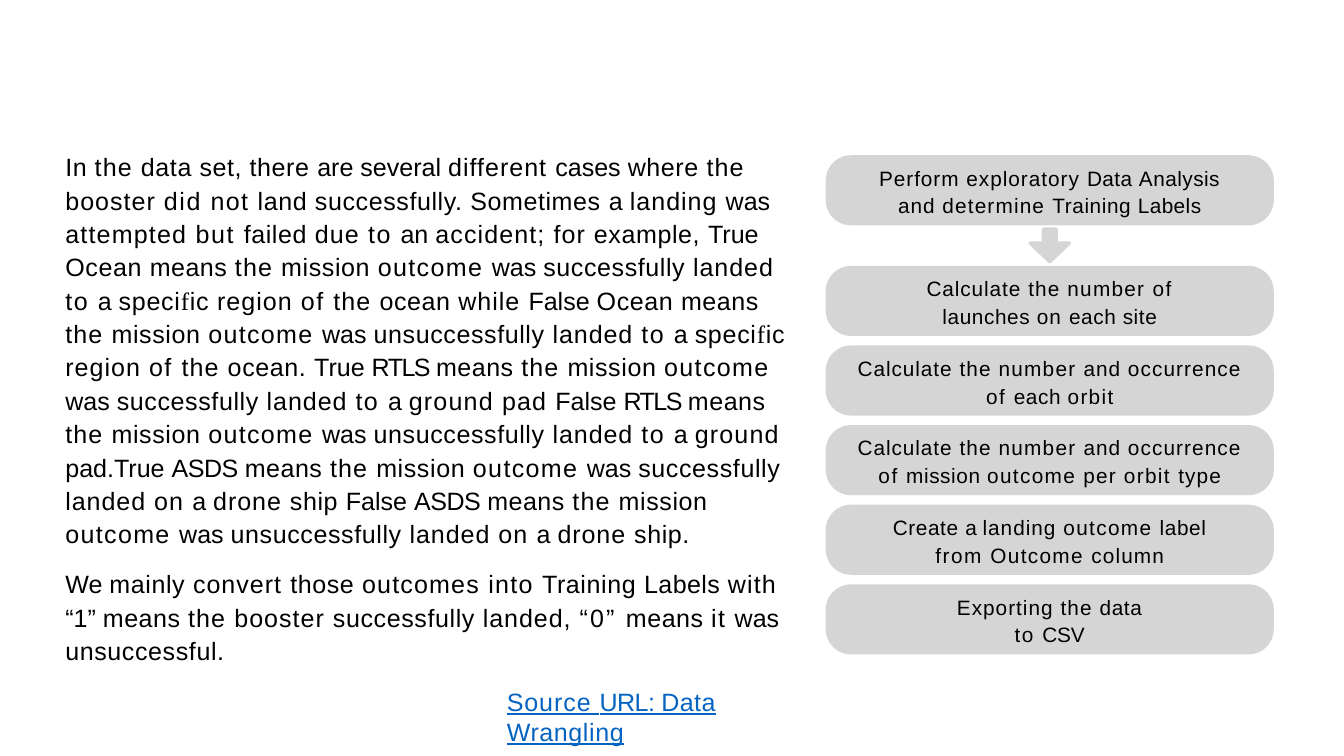
from dataclasses import dataclass
from itertools import groupby

from pptx import Presentation
from pptx.dml.color import RGBColor
from pptx.enum.shapes import MSO_SHAPE
from pptx.enum.text import MSO_ANCHOR, PP_ALIGN
from pptx.shapes.autoshape import Shape
from pptx.text.text import TextFrame
from pptx.util import Pt

GREY = "D5D5D5"
BLACK = "000000"
BLUE = "0563C1"

# Letter spacing in points, by word
TRACK = {
    -1.8: "RTLS",
    -0.7: "URL",
    -0.6: "ASDS",
    -0.2: "CSV",
    0: "are several cases a an was True False pad.True We “1”",
    0.5: "Data Labels",
    0.6: "In set means Analysis",
    0.85: "specific",
    1.1: "landed drone Calculate Perform and Source",
    1.2: "different booster landing for region while convert exploratory Exporting",
    1.3: "the due accident pad on occurrence",
    1.4: "attempted ground outcomes with determine column per type",
    1.5: "number into",
    1.6: "not outcome Outcome it orbit",
    1.8: "did to of from",
    1.9: "but",
    2.6: "“0”",
}
GAPS = {word: gap for gap, words in TRACK.items() for word in words.split()}

CASES = (
    "In the data set, there are several different cases where the booster did not land "
    "successfully. Sometimes a landing was attempted but failed due to an accident; for "
    "example, True Ocean means the mission outcome was successfully landed to a specific "
    "region of the ocean while False Ocean means the mission outcome was unsuccessfully "
    "landed to a specific region of the ocean. True RTLS means the mission outcome was "
    "successfully landed to a ground pad False RTLS means the mission outcome was "
    "unsuccessfully landed to a ground pad.True ASDS means the mission outcome was "
    "successfully landed on a drone ship False ASDS means the mission outcome was "
    "unsuccessfully landed on a drone ship."
)
LABELS = (
    "We mainly convert those outcomes into Training Labels with “1” means the booster "
    "successfully landed, “0” means it was unsuccessful."
)


@dataclass
class Step:
    text: str
    inset: float


STEPS = [
    Step("Perform exploratory Data Analysis and determine Training Labels", 45),
    Step("Calculate the number of launches on each site", 85),
    Step("Calculate the number and occurrence of each orbit", 17),
    Step("Calculate the number and occurrence of mission outcome per orbit type", 17),
    Step("Create a landing outcome label from Outcome column", 62),
    Step("Exporting the data to CSV", 136),
]


def paint(hue: str) -> RGBColor:
    return RGBColor.from_string(hue)


def track(word: str) -> float:
    return GAPS.get(word.strip(".,;:"), 0.7)


def write(frame: TextFrame, text: str, *, size: float, hue: str = BLACK,
          align: PP_ALIGN = PP_ALIGN.LEFT, lead: float = 1.11, before: float = 0,
          left: float = 0, line: bool = False) -> None:
    """Add one paragraph, with each word spaced by its own tracking."""
    para = frame.paragraphs[0]
    if para.runs:
        para = frame.add_paragraph()
    para.alignment = align
    para.line_spacing = lead
    para.space_before = Pt(before)
    para._p.get_or_add_pPr().set("marL", str(Pt(left)))
    groups = [(gap, " ".join(words)) for gap, words in groupby(text.split(), track)]
    for pos, (gap, chunk) in enumerate(groups):
        end = " " if pos < len(groups) - 1 else ""
        bits = ["speci", "f", "ic"] if chunk == "specific" else [chunk]
        bits[-1] += end
        for bit in bits:
            run = para.add_run()
            run.text = bit
            run.font.name = "Times New Roman" if bit == "f" else "Arial"
            run.font.size = Pt(size)
            run.font.color.rgb = paint(hue)
            if line:
                run.font.underline = True
            run._r.get_or_add_rPr().set("spc", str(round(gap * 100)))


def clear(frame: TextFrame, side: float = 0) -> None:
    frame.word_wrap = True
    frame.margin_left = frame.margin_right = Pt(side)
    frame.margin_top = frame.margin_bottom = 0


def block(kind: MSO_SHAPE, left: float, top: float, wide: float, high: float) -> Shape:
    shape = slide.shapes.add_shape(kind, Pt(left), Pt(top), Pt(wide), Pt(high))
    shape.shadow.inherit = False
    shape.fill.solid()
    shape.fill.fore_color.rgb = paint(GREY)
    shape.line.fill.background()
    return shape


deck = Presentation()
deck.slide_width, deck.slide_height = Pt(1583.28), Pt(890.64)
slide = deck.slides.add_slide(deck.slide_layouts[6])

# Text on the left
body = slide.shapes.add_textbox(Pt(77), Pt(175), Pt(854), Pt(675)).text_frame
clear(body)
write(body, CASES, size=29.5)
write(body, LABELS, size=29.5, before=19.8)
write(body, "Source URL: Data Wrangling", size=29.5, hue=BLUE, lead=1, before=24.4,
      left=520, line=True)

# Steps on the right, with a wider gap after the first
for row, step in enumerate(STEPS):
    top = 182.9 if row == 0 else 313.2 + 93.8 * (row - 1)
    box = block(MSO_SHAPE.ROUNDED_RECTANGLE, 972.8, top, 527.8, 82.6)
    box.adjustments[0] = 0.36
    box.text_frame.vertical_anchor = MSO_ANCHOR.MIDDLE
    clear(box.text_frame, step.inset)
    write(box.text_frame, step.text, size=24.5, align=PP_ALIGN.CENTER)

# Arrow below the first step
arrow = block(MSO_SHAPE.DOWN_ARROW, 1213.7, 270, 46, 38.2)
arrow.adjustments[0] = 0.33
arrow.adjustments[1] = 0.57
arrow.line.color.rgb = paint(GREY)
arrow.line.width = Pt(4.12)

deck.save("out.pptx")
